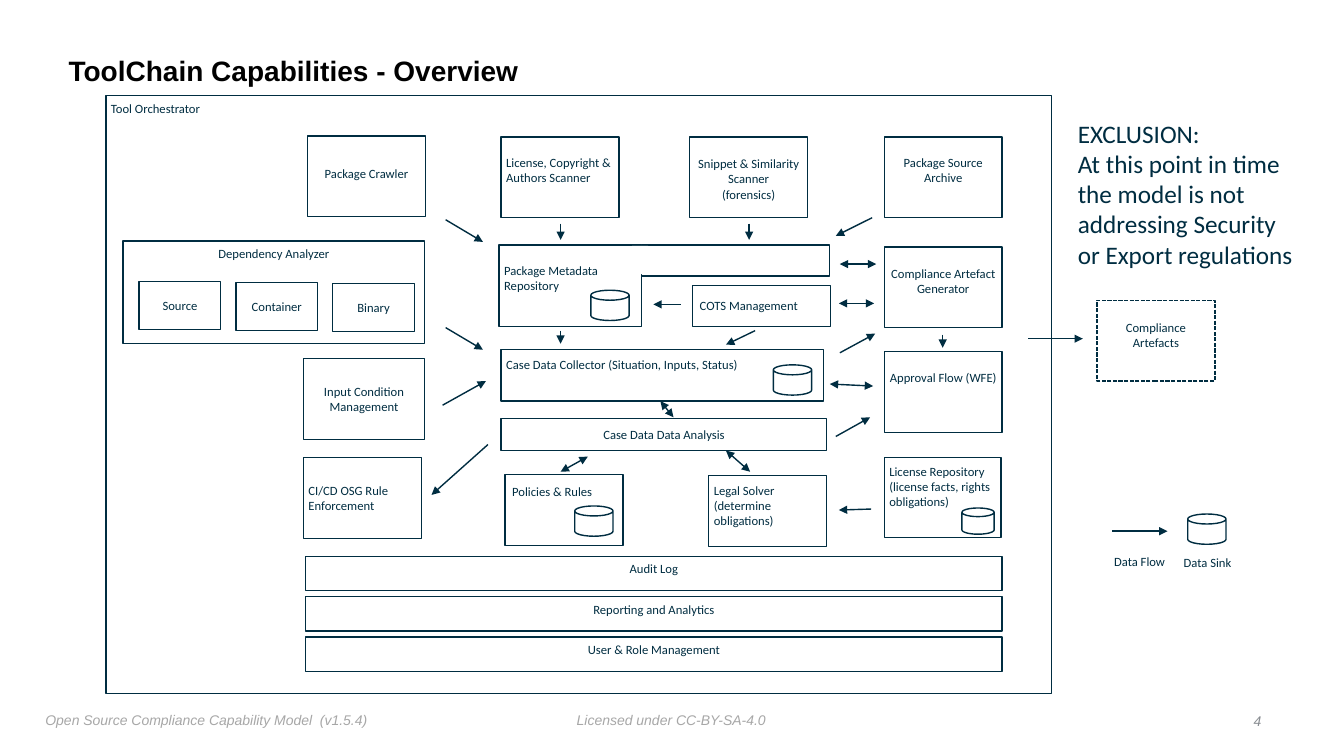
"""Build the ToolChain Capabilities overview slide."""
from lxml import etree
from pptx import Presentation
from pptx.dml.color import RGBColor
from pptx.enum.dml import MSO_LINE
from pptx.enum.shapes import MSO_CONNECTOR, MSO_SHAPE
from pptx.enum.text import MSO_ANCHOR, PP_ALIGN
from pptx.oxml.ns import qn
from pptx.util import Inches, Pt

RECTANGLE, CAN = MSO_SHAPE.RECTANGLE, MSO_SHAPE.CAN
STRAIGHT = MSO_CONNECTOR.STRAIGHT
DASHED = MSO_LINE.SQUARE_DOT
LEFT, CENTER, RIGHT = PP_ALIGN.LEFT, PP_ALIGN.CENTER, PP_ALIGN.RIGHT
TOP, MIDDLE = MSO_ANCHOR.TOP, MSO_ANCHOR.MIDDLE
COLORS = {"navy": "002D41", "white": "FFFFFF", "black": "000000",
          "footer": "A7A7A7", "number": "888C91"}
INSET = 0.05


class CapabilityPage:
    def __init__(self, page):
        self.shapes = page.shapes

    def color(self, name):
        return RGBColor.from_string(COLORS[name])

    def fill_text(self, box, text, align=LEFT, anchor=TOP, left=0, top=0, size=9,
                  font="Calibri", color="navy", bold=False, italic=False,
                  spacing=None, wrap=True):
        frame = box.text_frame
        frame.word_wrap = wrap
        frame.vertical_anchor = anchor
        frame.margin_left = Inches(INSET + left)
        frame.margin_top = Inches(INSET + top)
        frame.margin_right = frame.margin_bottom = Inches(INSET)
        frame.text = text
        for para in frame.paragraphs:
            para.alignment = align
            if spacing:
                para.line_spacing = spacing
            para.font.name, para.font.size = font, Pt(size)
            para.font.bold, para.font.italic = bold, italic
            para.font.color.rgb = self.color(color)

    def label(self, place, text, **style):
        box = self.shapes.add_textbox(*map(Inches, place))
        self.fill_text(box, text, **style)

    def shape(self, kind, place, outlined=True):
        shape = self.shapes.add_shape(kind, *map(Inches, place))
        shape.shadow.inherit = False
        shape.fill.solid()
        shape.fill.fore_color.rgb = self.color("white")
        if outlined:
            shape.line.color.rgb = self.color("navy")
            shape.line.width = Pt(1)
        else:
            shape.line.fill.background()
        return shape

    def box(self, place, text="", dashed=False, outlined=True, **style):
        box = self.shape(RECTANGLE, place, outlined)
        if dashed:
            box.line.dash_style = DASHED
        if text:
            self.fill_text(box, text, **style)

    def data_sink(self, left, top, width=0.38, height=0.3):
        can = self.shape(CAN, (left, top, width, height))
        can.adjustments[0] = 0.33

    def arrow(self, start, end, both=False):
        connector = self.shapes.add_connector(STRAIGHT, *map(Inches, start + end))
        connector.line.color.rgb = self.color("navy")
        connector.line.width = Pt(1)
        properties = connector.element.spPr
        outline = properties.find(qn("a:ln"))
        for tag in ("a:headEnd", "a:tailEnd") if both else ("a:tailEnd",):
            etree.SubElement(outline, qn(tag), type="triangle")
        etree.SubElement(properties, qn("a:effectLst"))


def draw_boxes(page):
    page.box((1.05, 0.95, 9.38, 5.93), "Tool Orchestrator")

    layers = ["Audit Log", "Reporting and Analytics", "User & Role Management"]
    for row, name in enumerate(layers):
        page.box((3.03, 5.52 + 0.4 * row, 6.91, 0.34), name, align=CENTER)

    page.box((1.22, 2.39, 2.99, 1.02), "Dependency Analyzer", align=CENTER)
    for column, name in enumerate(["Source", "Container", "Binary"]):
        place = (1.38 + 0.96 * column, 2.79 + 0.01 * column, 0.81, 0.48)
        page.box(place, name, align=CENTER, anchor=MIDDLE)

    centered_boxes = [
        (3.05, 1.35, "Package Crawler", 0.25),
        (6.84, 1.36, "Snippet & Similarity Scanner\v(forensics)", 0.14),
        (8.77, 1.36, "Package Source Archive", 0.13),
        (8.77, 2.45, "Compliance Artefact Generator", 0.14),
        (8.77, 3.49, "Approval Flow (WFE)", 0.13),
    ]
    for left, top, name, drop in centered_boxes:
        page.box((left, top, 1.17, 0.8), name, align=CENTER, top=drop)
    page.box((10.88, 2.98, 1.17, 0.8), "Compliance Artefacts", dashed=True,
             align=CENTER, top=0.14)

    left_boxes = [
        ((4.97, 1.36, 1.17, 0.8), "License, Copyright & Authors Scanner", 0, 0.13),
        ((4.95, 2.43, 1.41, 0.81), "Package Metadata Repository", 0, 0.13),
        ((6.87, 2.83, 1.37, 0.41), "COTS Management", 0.02, 0.08),
        ((4.97, 3.47, 3.2, 0.51),
         "Case Data Collector (Situation, Inputs, Status)", 0, 0.02),
        ((5.01, 4.71, 1.17, 0.7), "Policies & Rules", 0.02, 0.04),
        ((7.03, 4.72, 1.17, 0.7), "Legal Solver (determine obligations)", 0, 0.02),
        ((8.77, 4.54, 1.16, 0.79),
         "License Repository (license facts, rights obligations)", 0, 0.01),
    ]
    for place, name, shift, drop in left_boxes:
        page.box(place, name, left=shift, top=drop)

    page.box((3.01, 4.54, 1.17, 0.8), "CI/CD OSG Rule Enforcement", anchor=MIDDLE)
    page.box((3.01, 3.56, 1.2, 0.8), "Input Condition Management",
             align=CENTER, anchor=MIDDLE)
    page.box((4.97, 4.15, 3.23, 0.32), "Case Data Data Analysis",
             align=CENTER, anchor=MIDDLE)

    page.box((6.36, 2.43, 1.87, 0.31))
    page.box((6.27, 2.44, 0.16, 0.28), outlined=False)


def draw_flows(page):
    for left, top in [(5.86, 2.88), (7.67, 3.62), (5.7, 5.02), (11.78, 5.1)]:
        page.data_sink(left, top)
    page.data_sink(9.54, 5.04, 0.32, 0.26)

    one_way = [
        ((4.84, 4.41), (4.28, 4.91)), ((4.42, 3.25), (4.79, 3.47)),
        ((4.39, 4.02), (4.82, 3.78)), ((5.56, 3.28), (5.56, 3.41)),
        ((5.56, 2.22), (5.56, 2.38)), ((8.33, 3.5), (8.68, 3.31)),
        ((4.42, 2.18), (4.79, 2.4)), ((10.2, 3.36), (10.74, 3.36)),
        ((6.75, 3.02), (6.48, 3.02)), ((8.64, 5.05), (8.32, 5.06)),
        ((9.35, 3.32), (9.35, 3.45)), ((8.65, 2.16), (8.29, 2.34)),
        ((7.49, 3.28), (7.2, 3.42)), ((7.43, 2.22), (7.43, 2.38)),
        ((11.03, 5.27), (11.58, 5.27)), ((8.29, 4.33), (8.63, 4.14)),
    ]
    two_way = [
        ((5.56, 4.68), (5.83, 4.53)), ((8.33, 2.62), (8.69, 2.62)),
        ((8.32, 3.01), (8.67, 3.01)), ((7.44, 4.68), (7.2, 4.47)),
        ((8.23, 3.81), (8.66, 3.83)), ((6.68, 4.14), (6.55, 3.98)),
    ]
    for start, end in one_way:
        page.arrow(start, end)
    for start, end in two_way:
        page.arrow(start, end, both=True)


def draw_labels(page):
    page.label((0.63, 0.39, 10.75, 0.65), "ToolChain Capabilities - Overview",
               anchor=MIDDLE, size=20, font="Arial", color="black", bold=True,
               spacing=0.9)
    page.label((10.64, 1.12, 2.46, 1.62),
               "EXCLUSION:\nAt this point in time\vthe model is not\n"
               "addressing Security\nor Export regulations", size=18, wrap=False)
    page.label((11, 5.45, 0.67, 0.25), "Data Flow", wrap=False)
    page.label((11.69, 5.46, 0.63, 0.25), "Data Sink", wrap=False)

    footer = {"size": 10, "font": "Arial", "italic": True, "wrap": False}
    page.label((0.4, 7.01, 3.32, 0.27),
               "Open Source Compliance Capability Model  (v1.5.4)",
               color="footer", **footer)
    page.label((5.67, 7.01, 1.99, 0.25), "Licensed under CC-BY-SA-4.0",
               color="footer", **footer)
    page.label((12.37, 7.03, 0.19, 0.25), "4", align=RIGHT, anchor=MIDDLE,
               color="number", **footer)


def main():
    deck = Presentation()
    deck.slide_width, deck.slide_height = Inches(13.33), Inches(7.5)
    page = CapabilityPage(deck.slides.add_slide(deck.slide_layouts[6]))
    draw_boxes(page)
    draw_flows(page)
    draw_labels(page)
    deck.save("out.pptx")


if __name__ == "__main__":
    main()
